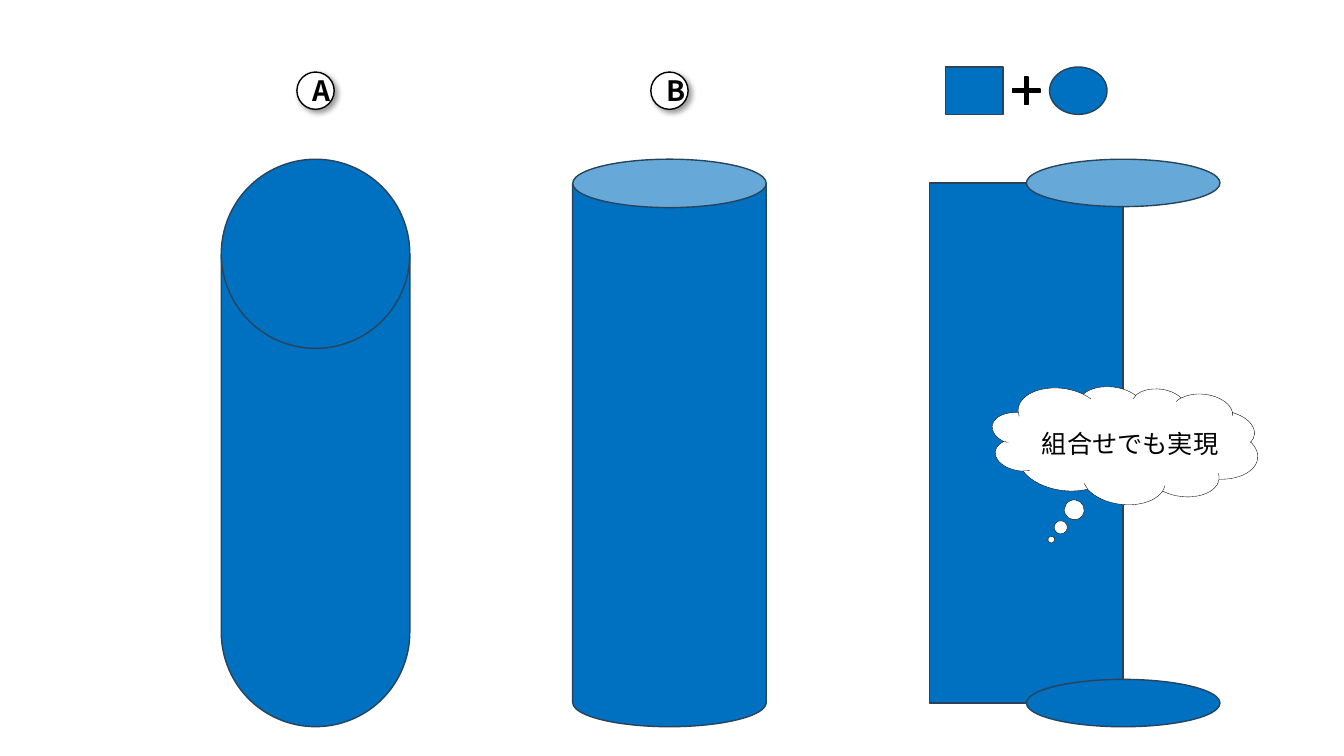
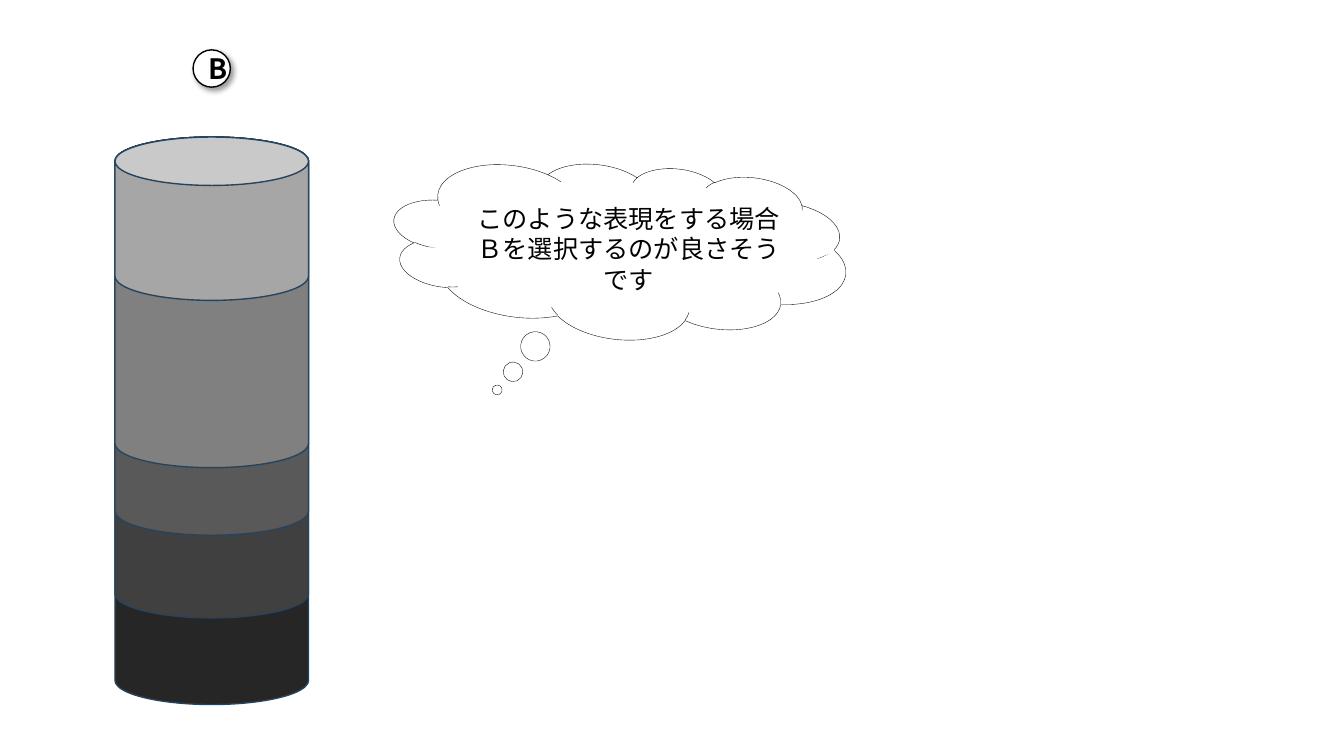
from lxml.etree import SubElement
from pptx import Presentation
from pptx.dml.color import RGBColor
from pptx.enum.shapes import MSO_SHAPE
from pptx.enum.text import MSO_ANCHOR, PP_ALIGN
from pptx.oxml.ns import qn
from pptx.util import Inches, Pt

WHITE = RGBColor(0xFF, 0xFF, 0xFF)
BLACK = RGBColor(0, 0, 0)
BLUE = RGBColor(0x00, 0x70, 0xC0)
LIGHT_BLUE = RGBColor(0x66, 0xA9, 0xD9)
OUTLINE = RGBColor(0x28, 0x44, 0x5D)
GRAYS = [RGBColor(level, level, level) for level in (0x26, 0x40, 0x59, 0x80, 0xA6)]
FONT = "Noto Sans CJK JP"

SLIDE_W, SLIDE_H = 13.33, 7.5
COLUMN_W, COLUMN_H = 1.92, 5.63
CAP_H = 0.47
BADGE = 0.37
BADGE_TO_COLUMN = 0.68
AXES = (3.13, 6.64, 10.18)


def add_part(shapes, kind, center_x, center_y, width, height, fill=BLUE,
             line=OUTLINE, weight=1, rotation=0, adjustments=()):
    part = shapes.add_shape(kind, Inches(center_x - width / 2), Inches(center_y - height / 2),
                            Inches(width), Inches(height))
    part.shadow.inherit = False
    part.rotation = rotation
    part.fill.solid()
    part.fill.fore_color.rgb = fill
    if line is None:
        part.line.fill.background()
    else:
        part.line.color.rgb = line
        part.line.width = Pt(weight)
    for index, value in enumerate(adjustments):
        part.adjustments[index] = value
    return part


def write(part, *lines, size=18, bold=False, color=BLACK):
    frame = part.text_frame
    frame.word_wrap = True
    frame.vertical_anchor = MSO_ANCHOR.MIDDLE
    for index, text in enumerate(lines):
        paragraph = frame.add_paragraph() if index else frame.paragraphs[0]
        paragraph.alignment = PP_ALIGN.CENTER
        run = paragraph.add_run()
        run.text = text
        run.font.size = Pt(size)
        run.font.bold = bold
        run.font.name = FONT
        run.font.color.rgb = color
        SubElement(run.font._element, qn("a:ea"), typeface=FONT)


def cast_shadow(part):
    effects = part._element.spPr.find(qn("a:effectLst"))
    shadow = SubElement(effects, qn("a:outerShdw"), blurRad=str(Pt(4)), dist=str(Pt(3)),
                        dir="2700000", algn="tl", rotWithShape="0")
    tint = SubElement(shadow, qn("a:srgbClr"), val="000000")
    SubElement(tint, qn("a:alpha"), val="40000")


def add_badge(slide, letter, axis, center_y):
    badge = add_part(slide.shapes, MSO_SHAPE.OVAL, axis, center_y, BADGE, BADGE,
                     fill=WHITE, line=BLACK)
    cast_shadow(badge)
    write(badge, letter, size=20, bold=True)


def add_column(slide, kind, axis, top, height=COLUMN_H, width=COLUMN_W, **style):
    add_part(slide.shapes, kind, axis, top + height / 2, width, height, **style)


def add_thought(slide, left, top, width, height, *lines):
    balloon = slide.shapes.add_group_shape().shapes

    def place(kind, share_x, share_y, part_w, part_h, line=None, **style):
        return add_part(balloon, kind, left + share_x * width, top + share_y * height,
                        part_w, part_h, fill=WHITE, line=line, **style)

    place(MSO_SHAPE.CLOUD_CALLOUT, 0.5, 0.5, width, height, line=BLACK, weight=0.25,
          rotation=6.6, adjustments=(-0.232, 0.865))
    place(MSO_SHAPE.RECTANGLE, 0.82, 0.65, 0.225 * height, 0.042 * width, rotation=62.5)
    for share_x, share_y, rotation in ((0.09, 0.52, 0), (0.94, 0.5, 337.6)):
        place(MSO_SHAPE.RECTANGLE, share_x, share_y, 0.06 * width, 0.075 * height,
              rotation=rotation)
    message = place(MSO_SHAPE.RECTANGLE, 0.52, 0.49, 0.75 * width, 0.48 * height)
    write(message, *lines)


def add_formula(slide, axis, center_y):
    formula = slide.shapes.add_group_shape().shapes
    pitch = 0.515
    add_part(formula, MSO_SHAPE.RECTANGLE, axis - pitch, center_y, 0.57, CAP_H)
    add_part(formula, MSO_SHAPE.OVAL, axis + pitch, center_y, 0.57, CAP_H)
    add_part(formula, MSO_SHAPE.MATH_PLUS, axis, center_y, BADGE, BADGE,
             fill=BLACK, line=BLACK, adjustments=(0.091,))


def build_comparison(slide):
    badge_y = 0.9
    top = badge_y + BADGE_TO_COLUMN
    disk_axis, can_axis, parts_axis = AXES
    add_column(slide, MSO_SHAPE.FLOWCHART_MAGNETIC_DISK, disk_axis, top, width=1.87)
    add_column(slide, MSO_SHAPE.CAN, can_axis, top)
    body_h = COLUMN_H - CAP_H
    body_top = top + CAP_H / 2
    add_column(slide, MSO_SHAPE.RECTANGLE, parts_axis, body_top, body_h)
    for cap_y, fill in ((body_top, LIGHT_BLUE), (body_top + body_h, BLUE)):
        add_part(slide.shapes, MSO_SHAPE.OVAL, parts_axis + COLUMN_W / 2, cap_y,
                 COLUMN_W, CAP_H, fill=fill)
    for letter, axis in zip("AB", AXES):
        add_badge(slide, letter, axis, badge_y)
    add_formula(slide, parts_axis, badge_y)
    add_thought(slide, 9.83, 3.82, 2.65, 1.18, "組合せでも実現")


def build_layers(slide):
    axis, badge_y = 2.1, 0.68
    top = badge_y + BADGE_TO_COLUMN
    heights = (COLUMN_H, 4.77, 3.95, 3.28, 1.62)
    for height, gray in zip(heights, GRAYS):
        rim = 0.25 * COLUMN_W / min(COLUMN_W, height)
        add_column(slide, MSO_SHAPE.CAN, axis, top, height, fill=gray, adjustments=(rim,))
    add_badge(slide, "B", axis, badge_y)
    add_thought(slide, 3.89, 1.61, 4.51, 1.75,
                "このような表現をする場合", "Ｂを選択するのが良さそうです")


def main():
    deck = Presentation()
    deck.slide_width, deck.slide_height = Inches(SLIDE_W), Inches(SLIDE_H)
    for build in (build_comparison, build_layers):
        build(deck.slides.add_slide(deck.slide_layouts[6]))
    deck.save("out.pptx")


if __name__ == "__main__":
    main()
